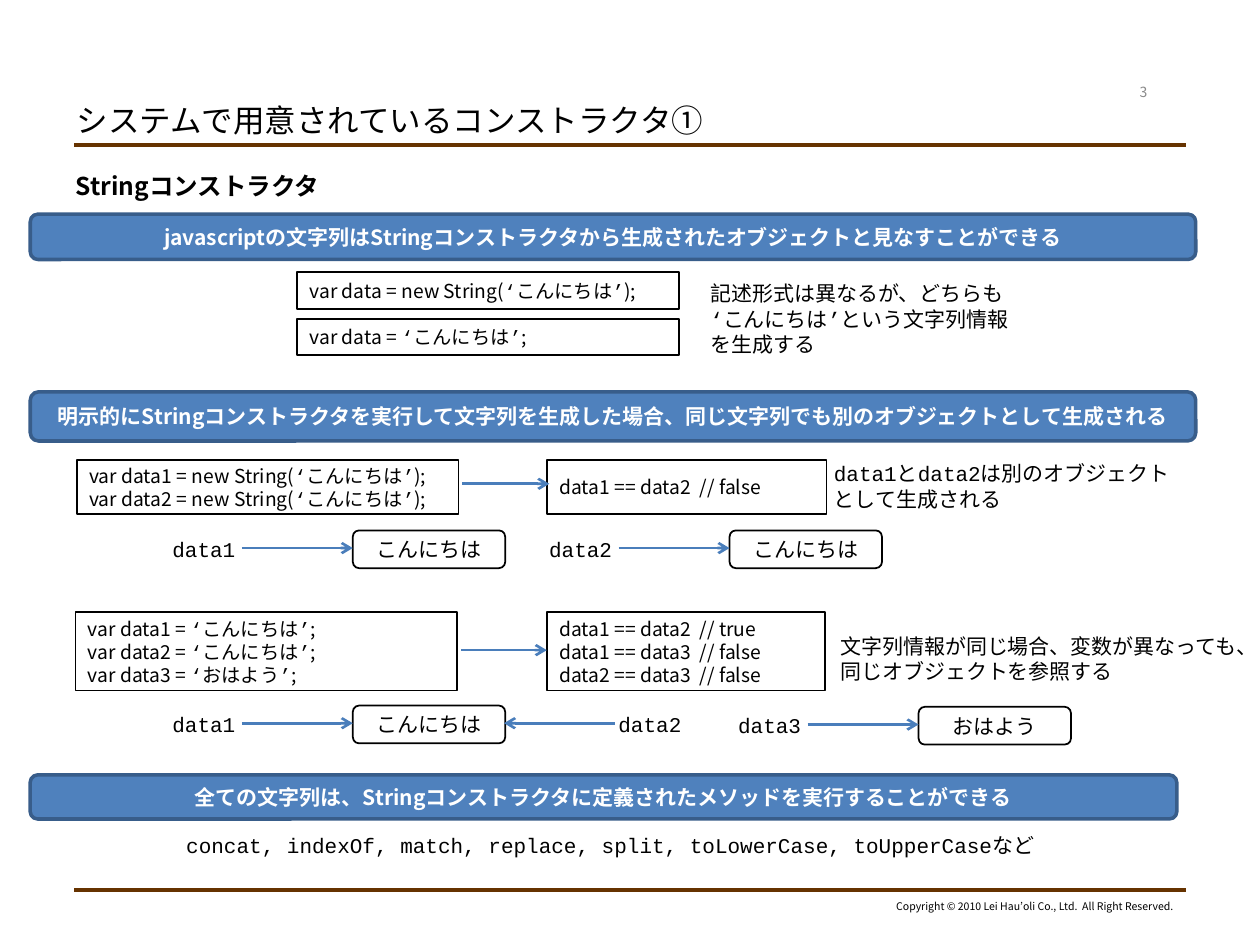
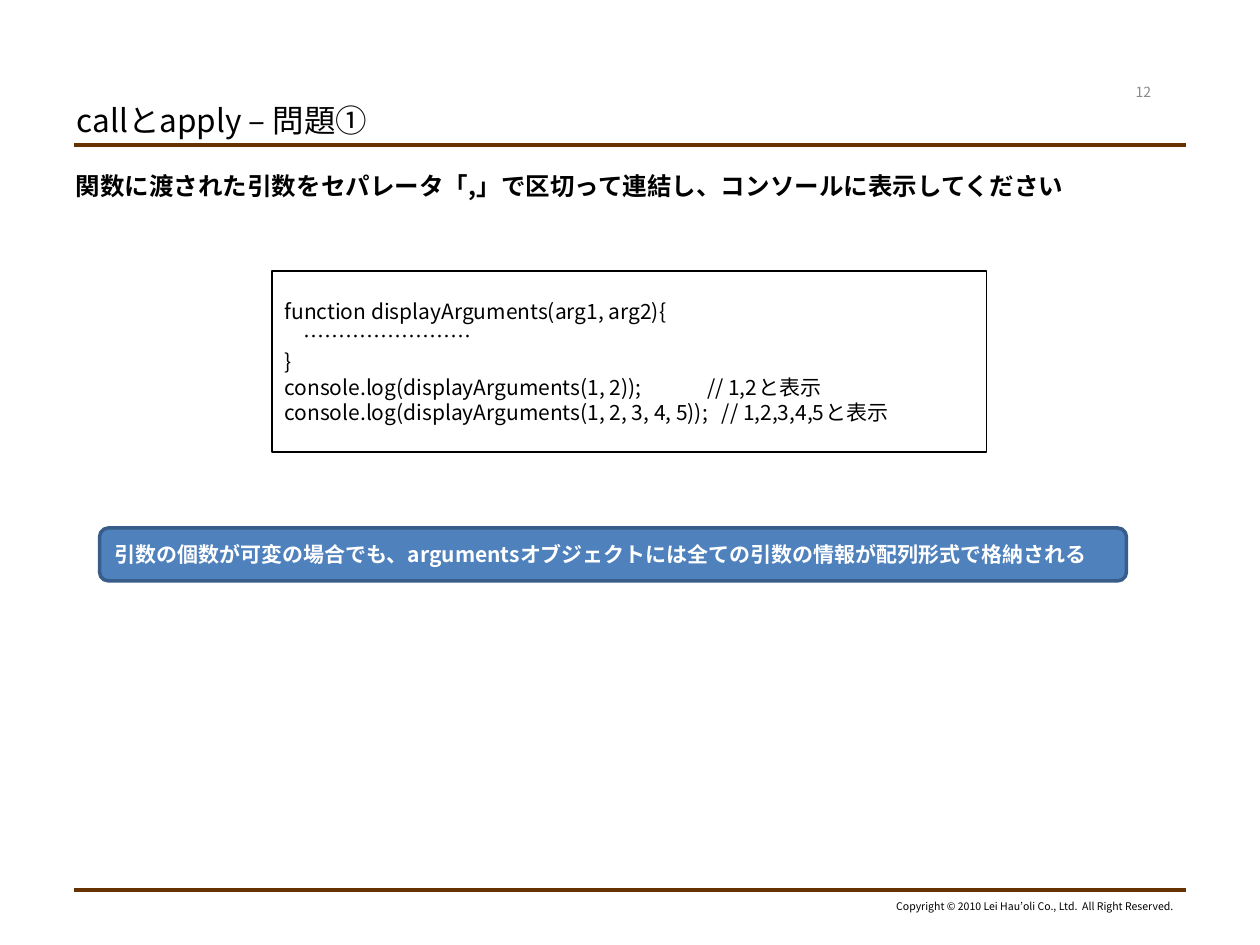
from dataclasses import dataclass
from itertools import groupby

from lxml.etree import SubElement
from pptx import Presentation
from pptx.dml.color import RGBColor
from pptx.enum.shapes import MSO_CONNECTOR as Conn, MSO_SHAPE as Shape
from pptx.enum.text import MSO_ANCHOR as Anchor, MSO_AUTO_SIZE as AutoSize, PP_ALIGN as Align
from pptx.oxml.ns import qn
from pptx.shapes.autoshape import Shape as AutoShape
from pptx.shapes.connector import Connector
from pptx.slide import Slide
from pptx.util import Inches, Pt

BLACK = RGBColor(0x00, 0x00, 0x00)
WHITE = RGBColor(0xFF, 0xFF, 0xFF)
GRAY = RGBColor(0x89, 0x89, 0x89)
BROWN = RGBColor(0x66, 0x33, 0x00)
BLUE = RGBColor(0x4F, 0x81, 0xBD)
DARK_BLUE = RGBColor(0x38, 0x5D, 0x8A)
ARROW_BLUE = RGBColor(0x4A, 0x7E, 0xBB)
SANS = "Noto Sans CJK JP"
MONO = "Courier New"
QUOTES = "‘’"
LINE_HEIGHT = 1.2
COPYRIGHT = "Copyright © 2010 Lei Hau’oli Co., Ltd.  All Right Reserved."


@dataclass(frozen=True)
class Area:
    x: float
    y: float
    w: float
    h: float


@dataclass(frozen=True)
class TextStyle:
    size: float
    name: str = SANS
    color: RGBColor = BLACK
    bold: bool = False
    align: Align = Align.LEFT
    anchor: Anchor = Anchor.MIDDLE


@dataclass(frozen=True)
class BoxStyle:
    shape: Shape
    line: RGBColor
    width: float
    text: TextStyle
    fill: RGBColor | None = None


@dataclass(frozen=True)
class Box:
    area: Area
    text: str
    style: BoxStyle


@dataclass(frozen=True)
class Note:
    area: Area
    text: str


@dataclass(frozen=True)
class Variable:
    x: float
    y: float
    name: str
    value: str


TITLE = TextStyle(18)
HEADING = TextStyle(14, bold=True, anchor=Anchor.TOP)
NOTE = TextStyle(12, MONO, anchor=Anchor.TOP)
NUMBER = TextStyle(8, color=GRAY, align=Align.CENTER)
FOOTER = TextStyle(6, align=Align.RIGHT, anchor=Anchor.TOP)
BANNER_TEXT = TextStyle(12, color=WHITE, bold=True, align=Align.CENTER)
BANNER_LEFT_TEXT = TextStyle(12, color=WHITE, bold=True)

BANNER = BoxStyle(Shape.ROUNDED_RECTANGLE, DARK_BLUE, 2, BANNER_TEXT, BLUE)
BANNER_LEFT = BoxStyle(Shape.ROUNDED_RECTANGLE, DARK_BLUE, 2, BANNER_LEFT_TEXT, BLUE)
CODE = BoxStyle(Shape.RECTANGLE, BLACK, 1, TextStyle(11))
LARGE_CODE = BoxStyle(Shape.RECTANGLE, BLACK, 1, TextStyle(12))
VALUE = BoxStyle(Shape.ROUNDED_RECTANGLE, BLACK, 1, TextStyle(12, align=Align.CENTER))

STRING_BOXES = [
    Box(Area(0.24, 1.7, 9.25, 0.36),
        "javascriptの文字列はStringコンストラクタから生成されたオブジェクトと見なすことができる", BANNER),
    Box(Area(2.36, 2.16, 3.03, 0.29), "var data = new String(‘こんにちは’);", CODE),
    Box(Area(2.36, 2.53, 3.03, 0.29), "var data = ‘こんにちは’;", CODE),
    Box(Area(0.24, 3.11, 9.25, 0.39),
        "明示的にStringコンストラクタを実行して文字列を生成した場合、"
        "同じ文字列でも別のオブジェクトとして生成される", BANNER),
    Box(Area(0.61, 3.65, 3.03, 0.43),
        "var data1 = new String(‘こんにちは’);\nvar data2 = new String(‘こんにちは’);", CODE),
    Box(Area(4.34, 3.65, 2.22, 0.43), "data1 == data2  // false", CODE),
    Box(Area(0.6, 4.86, 3.03, 0.62),
        "var data1 = ‘こんにちは’;\nvar data2 = ‘こんにちは’;\nvar data3 = ‘おはよう’;", CODE),
    Box(Area(4.34, 4.86, 2.21, 0.62),
        "data1 == data2  // true\ndata1 == data3  // false\ndata2 == data3  // false", CODE),
    Box(Area(0.24, 6.15, 9.1, 0.35),
        "全ての文字列は、Stringコンストラクタに定義されたメソッドを実行することができる", BANNER),
]
STRING_NOTES = [
    Note(Area(5.54, 2.18, 2.9, 0.7),
         "記述形式は異なるが、どちらも\n‘こんにちは’という文字列情報\nを生成する"),
    Note(Area(6.52, 3.61, 3.3, 0.5), "data1とdata2は別のオブジェクト\nとして生成される"),
    Note(Area(6.57, 4.98, 3.53, 0.5),
         "文字列情報が同じ場合、変数が異なっても、\n同じオブジェクトを参照する"),
    Note(Area(4.81, 5.6, 0.8, 0.3), "data2"),
    Note(Area(1.38, 6.56, 7.4, 0.3),
         "concat, indexOf, match, replace, split, toLowerCase, toUpperCaseなど"),
]
VARIABLES = [
    Variable(1.27, 4.21, "data1", "こんにちは"),
    Variable(4.26, 4.21, "data2", "こんにちは"),
    Variable(1.27, 5.6, "data1", "こんにちは"),
    Variable(5.76, 5.61, "data3", "おはよう"),
]
STRING_ARROWS = [(3.67, 4.36, 3.84), (3.66, 4.34, 5.16), (4.88, 4.0, 5.74)]

ARGUMENT_BOXES = [
    Box(Area(2.16, 2.15, 5.67, 1.44),
        "function displayArguments(arg1, arg2){\n"
        "    ……………………\n"
        "}\n"
        "console.log(displayArguments(1, 2));              // 1,2と表示\n"
        "console.log(displayArguments(1, 2, 3, 4, 5));   // 1,2,3,4,5と表示", LARGE_CODE),
    Box(Area(0.79, 4.19, 8.15, 0.42),
        "引数の個数が可変の場合でも、argumentsオブジェクトには全ての引数の情報が配列形式で格納される",
        BANNER_LEFT),
]


def place(area: Area) -> list[int]:
    return [Inches(v) for v in (area.x, area.y, area.w, area.h)]


def write(sp: AutoShape, text: str, style: TextStyle) -> None:
    tf = sp.text_frame
    frame_format = {
        "word_wrap": True,
        "auto_size": AutoSize.NONE,
        "vertical_anchor": style.anchor,
        "margin_right": Inches(0.02 if style.align == Align.LEFT else 0.1),
    }
    for key, value in frame_format.items():
        setattr(tf, key, value)
    for i, line in enumerate(text.split("\n")):
        p = tf.add_paragraph() if i else tf.paragraphs[0]
        paragraph_format = {
            "alignment": style.align,
            "space_before": Pt(0),
            "line_spacing": Pt(style.size * LINE_HEIGHT),
        }
        for key, value in paragraph_format.items():
            setattr(p, key, value)
        for is_quote, chars in groupby(line, key=lambda char: char in QUOTES):
            r = p.add_run()
            r.text = "".join(chars)
            font_format = {"size": Pt(style.size), "bold": style.bold, "name": style.name}
            for key, value in font_format.items():
                setattr(r.font, key, value)
            r.font.color.rgb = style.color
            SubElement(r.font._element, qn("a:ea"), typeface=MONO if is_quote else SANS)


def fill_placeholder(sp: AutoShape, area: Area, text: str, style: TextStyle) -> None:
    for key, value in zip(("left", "top", "width", "height"), place(area)):
        setattr(sp, key, value)
    write(sp, text, style)


def add_text(s: Slide, area: Area, text: str, style: TextStyle) -> None:
    write(s.shapes.add_textbox(*place(area)), text, style)


def add_box(s: Slide, box: Box) -> None:
    style = box.style
    sp = s.shapes.add_shape(style.shape, *place(box.area))
    sp.shadow.inherit = False
    if style.fill is None:
        sp.fill.background()
    else:
        sp.fill.solid()
        sp.fill.fore_color.rgb = style.fill
    sp.line.color.rgb = style.line
    sp.line.width = Pt(style.width)
    write(sp, box.text, style.text)


def add_line(s: Slide, x1: float, x2: float, y: float, color: RGBColor, width: float) -> Connector:
    c = s.shapes.add_connector(Conn.STRAIGHT, Inches(x1), Inches(y), Inches(x2), Inches(y))
    c.line.color.rgb = color
    c.line.width = Pt(width)
    SubElement(c._element.spPr, qn("a:effectLst"))
    return c


def add_arrow(s: Slide, x1: float, x2: float, y: float) -> None:
    c = add_line(s, x1, x2, y, ARROW_BLUE, 1.5)
    SubElement(c.line._get_or_add_ln(), qn("a:tailEnd"), type="arrow")


def add_variable(s: Slide, v: Variable) -> None:
    value_x = v.x + 1.53
    add_text(s, Area(v.x, v.y, 0.8, 0.3), v.name, NOTE)
    add_box(s, Box(Area(value_x, v.y, 1.21, 0.3), v.value, VALUE))
    add_arrow(s, v.x + 0.65, value_x, v.y + 0.14)


def add_page(prs: Presentation, number: int, title: str, heading: str) -> Slide:
    s = prs.slides.add_slide(prs.slide_layouts[1])
    fill_placeholder(s.shapes.title, Area(0.51, 0.76, 5.68, 0.39), title, TITLE)
    body = s.placeholders[1]
    pPr = body.text_frame.paragraphs[0]._p.get_or_add_pPr()
    pPr.set("marL", "0")
    pPr.set("indent", "0")
    SubElement(pPr, qn("a:buNone"))
    fill_placeholder(body, Area(0.5, 1.31, 9, 5.59), heading, HEADING)
    for y in (1.15, 7.06):
        add_line(s, 0.59, 9.41, y, BROWN, 2.25)
    add_text(s, Area(8.78, 0.61, 0.59, 0.24), str(number), NUMBER)
    add_text(s, Area(6.41, 7.09, 3, 0.2), COPYRIGHT, FOOTER)
    return s


def build_string_slide(prs: Presentation) -> None:
    s = add_page(prs, 3, "システムで用意されているコンストラクタ①", "Stringコンストラクタ")
    for box in STRING_BOXES:
        add_box(s, box)
    for note in STRING_NOTES:
        add_text(s, note.area, note.text, NOTE)
    for variable in VARIABLES:
        add_variable(s, variable)
    for x1, x2, y in STRING_ARROWS:
        add_arrow(s, x1, x2, y)


def build_arguments_slide(prs: Presentation) -> None:
    s = add_page(prs, 12, "callとapply – 問題①",
                 "関数に渡された引数をセパレータ「,」で区切って連結し、コンソールに表示してください")
    for box in ARGUMENT_BOXES:
        add_box(s, box)


def main() -> None:
    prs = Presentation()
    prs.slide_width, prs.slide_height = Inches(10), Inches(7.5)
    build_string_slide(prs)
    build_arguments_slide(prs)
    prs.save("out.pptx")


if __name__ == "__main__":
    main()
